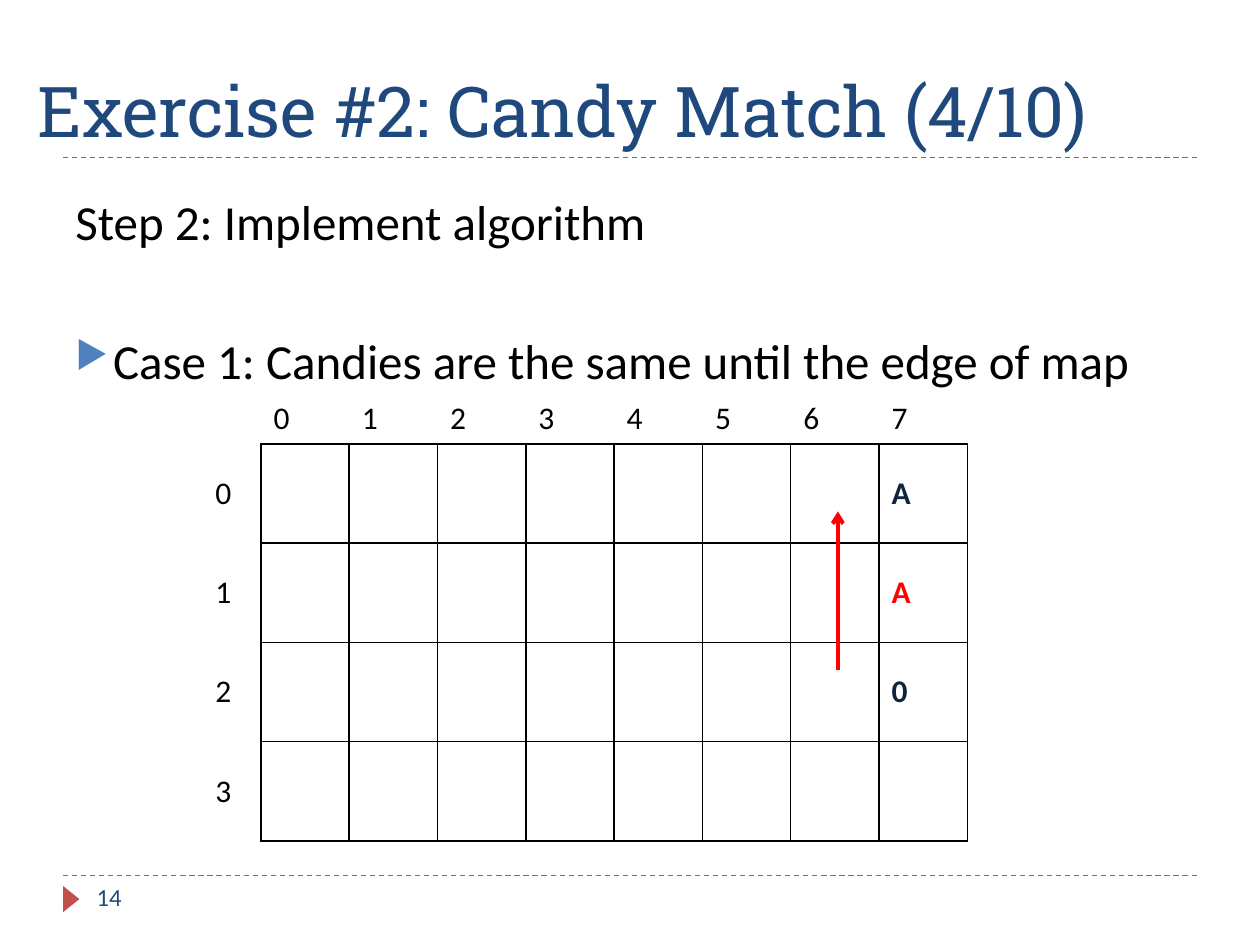
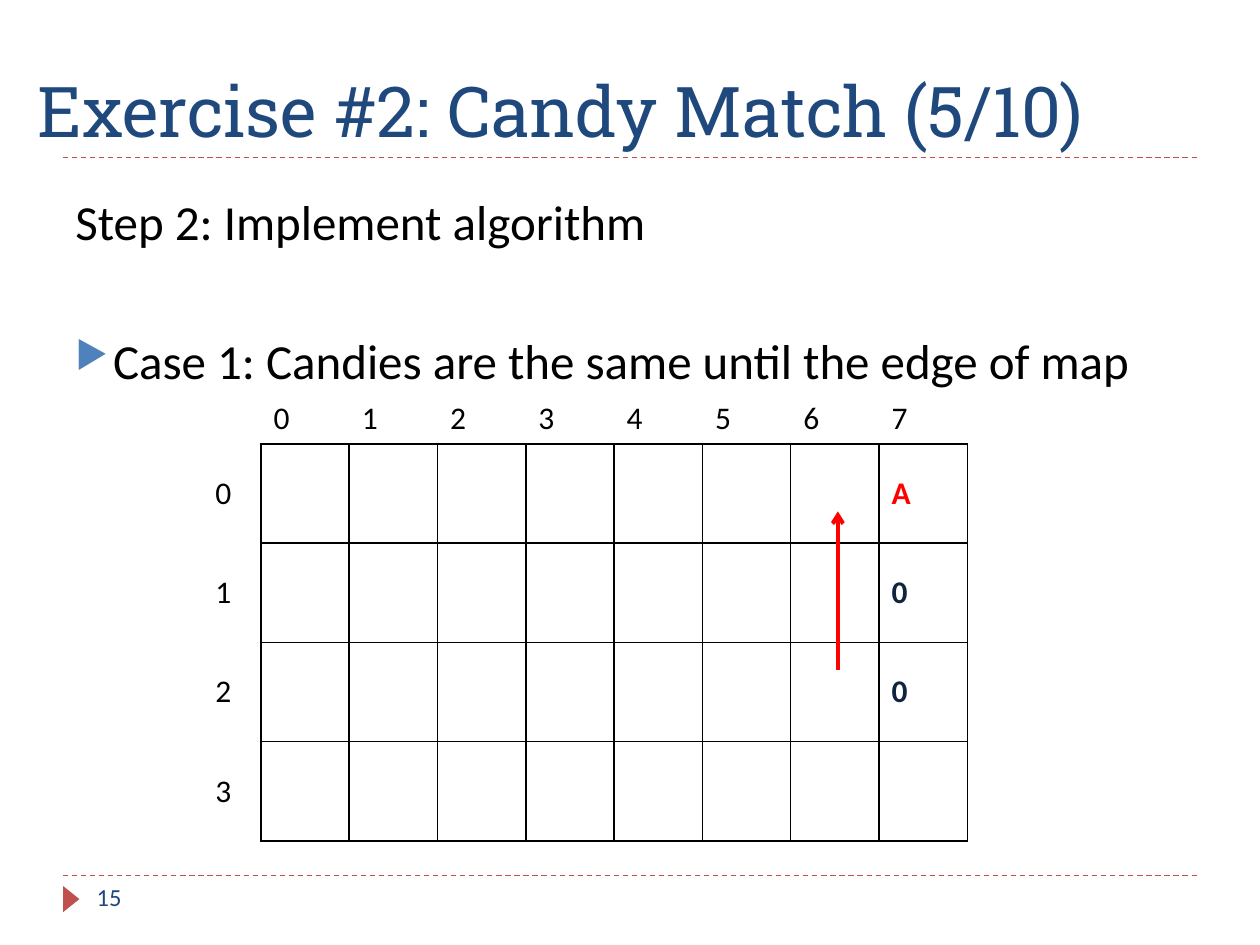
from lxml import etree
from pptx import Presentation
from pptx import util as u
from pptx.dml.color import RGBColor
from pptx.enum import dml, shapes, text
from pptx.oxml.ns import qn

BLUE, RED, BRIGHT, BULLET = "1F497D", "C0504D", "FF0000", "4F81BD"
NAVY, BLACK, WHITE = "0F243E", "000000", "FFFFFF"
BODY_FONT, TITLE_FONT = "Calibri", "Roboto Slab"
SIDES = ("L", "R", "T", "B")
COLS, ROWS = 8, 4


def rgb(value):
    return RGBColor.from_string(value)


def add_child(parent, tag, **attrs):
    return etree.SubElement(parent, qn(tag), attrs)


def style(p, size, color=BLACK, font=BODY_FONT, bold=False):
    for r in p.runs:
        r.font.size = u.Pt(size)
        r.font.name = font
        r.font.bold = bold
        r.font.color.rgb = rgb(color)


def add_text(s, box, lines, size, color=BLACK, font=BODY_FONT, anchor=text.MSO_ANCHOR.TOP):
    tf = s.shapes.add_textbox(*map(u.Cm, box)).text_frame
    tf.word_wrap = True
    tf.vertical_anchor = anchor
    tf.text = "\n".join(lines)
    for p in tf.paragraphs:
        style(p, size, color, font)
    return tf


def add_line(s, x1, y1, x2, y2, color, width):
    sp = s.shapes.add_connector(shapes.MSO_CONNECTOR.STRAIGHT, *map(u.Cm, (x1, y1, x2, y2)))
    sp.line.color.rgb = rgb(color)
    sp.line.width = u.Pt(width)
    add_child(sp._element.spPr, "a:effectLst")
    return sp


def add_arrow(s, x1, y1, x2, y2):
    sp = add_line(s, x1, y1, x2, y2, BRIGHT, 2.25)
    add_child(sp.line._get_or_add_ln(), "a:tailEnd", type="arrow")


def add_frame(s, title, number):
    for y in (17.65, 3.18):
        add_line(s, 1.27, y, 24.13, y, RED, 0.75).line.dash_style = dml.MSO_LINE.DASH
    sp = s.shapes.add_shape(shapes.MSO_SHAPE.ISOSCELES_TRIANGLE,
                            *map(u.Cm, (1.17, 17.96, 0.53, 0.33)))
    sp.rotation = 90
    sp.shadow.inherit = False
    sp.fill.solid()
    sp.fill.fore_color.rgb = rgb(RED)
    sp.line.fill.background()
    add_text(s, (0.51, 0.43, 24.61, 2.74), [title], 40, BLUE, TITLE_FONT, text.MSO_ANCHOR.BOTTOM)
    add_text(s, (1.7, 17.65, 5.51, 1.02), [str(number)], 14, BLUE)


def add_body(s, step, case):
    tf = add_text(s, (1.27, 3.73, 22.86, 13.39), [step, case], 28)
    first, second = tf.paragraphs
    first.space_before = u.Pt(6)
    second.space_before = u.Pt(46)
    pPr = second._p.get_or_add_pPr()
    pPr.set("marL", str(u.Cm(0.76)))
    pPr.set("indent", str(-u.Cm(0.76)))
    add_child(add_child(pPr, "a:buClr"), "a:srgbClr", val=BULLET)
    add_child(pPr, "a:buSzPct", val="76000")
    add_child(pPr, "a:buChar", char="▶")


def set_borders(cell, visible):
    tcPr = cell._tc.get_or_add_tcPr()
    for i, side in enumerate(SIDES):
        ln = etree.Element(qn("a:ln" + side), w=str(u.Pt(1)))
        if side in visible:
            add_child(add_child(ln, "a:solidFill"), "a:srgbClr", val=BLACK)
        else:
            add_child(ln, "a:noFill")
        tcPr.insert(i, ln)


def fill_cell(cell, value, color, bold, borders):
    cell.fill.solid()
    cell.fill.fore_color.rgb = rgb(WHITE)
    cell.vertical_anchor = text.MSO_ANCHOR.MIDDLE
    p = cell.text_frame.paragraphs[0]
    p.text = value
    p.alignment = text.PP_ALIGN.JUSTIFY
    style(p, 18, color, bold=bold)
    set_borders(cell, borders)


def add_map(s, candies):
    widths = [1.17] + [1.78] * COLS
    heights = [1.03] + [2] * ROWS
    table = s.shapes.add_table(ROWS + 1, COLS + 1, u.Cm(4.09), u.Cm(7.92),
                               u.Cm(sum(widths)), u.Cm(sum(heights))).table
    table.first_row = table.horz_banding = False
    for column, width in zip(table.columns, widths):
        column.width = u.Cm(width)
    for row, height in zip(table.rows, heights):
        row.height = u.Cm(height)
    for i in range(ROWS + 1):
        for j in range(COLS + 1):
            value, color, bold, borders = "", BLACK, False, SIDES
            if i == 0:
                value, borders = (str(j - 1), "B") if j else ("", "")
            elif j == 0:
                value, borders = str(i - 1), "R"
            elif j == COLS and i <= len(candies):
                value, color = candies[i - 1]
                bold = True
            fill_cell(table.cell(i, j), value, color, bold, borders)


def add_slide(prs, part, number, candies):
    s = prs.slides.add_slide(prs.slide_layouts[6])
    add_frame(s, f"Exercise #2: Candy Match ({part}/10)", number)
    add_body(s, "Step 2: Implement algorithm",
             "Case 1: Candies are the same until the edge of map")
    add_map(s, candies)
    add_arrow(s, 16.89, 13.51, 16.89, 10.31)


def main():
    prs = Presentation()
    prs.slide_width, prs.slide_height = u.Cm(25.4), u.Cm(19.05)
    add_slide(prs, 4, 14, [("A", NAVY), ("A", BRIGHT), ("0", NAVY)])
    add_slide(prs, 5, 15, [("A", BRIGHT), ("0", NAVY), ("0", NAVY)])
    prs.save("out.pptx")


main()
